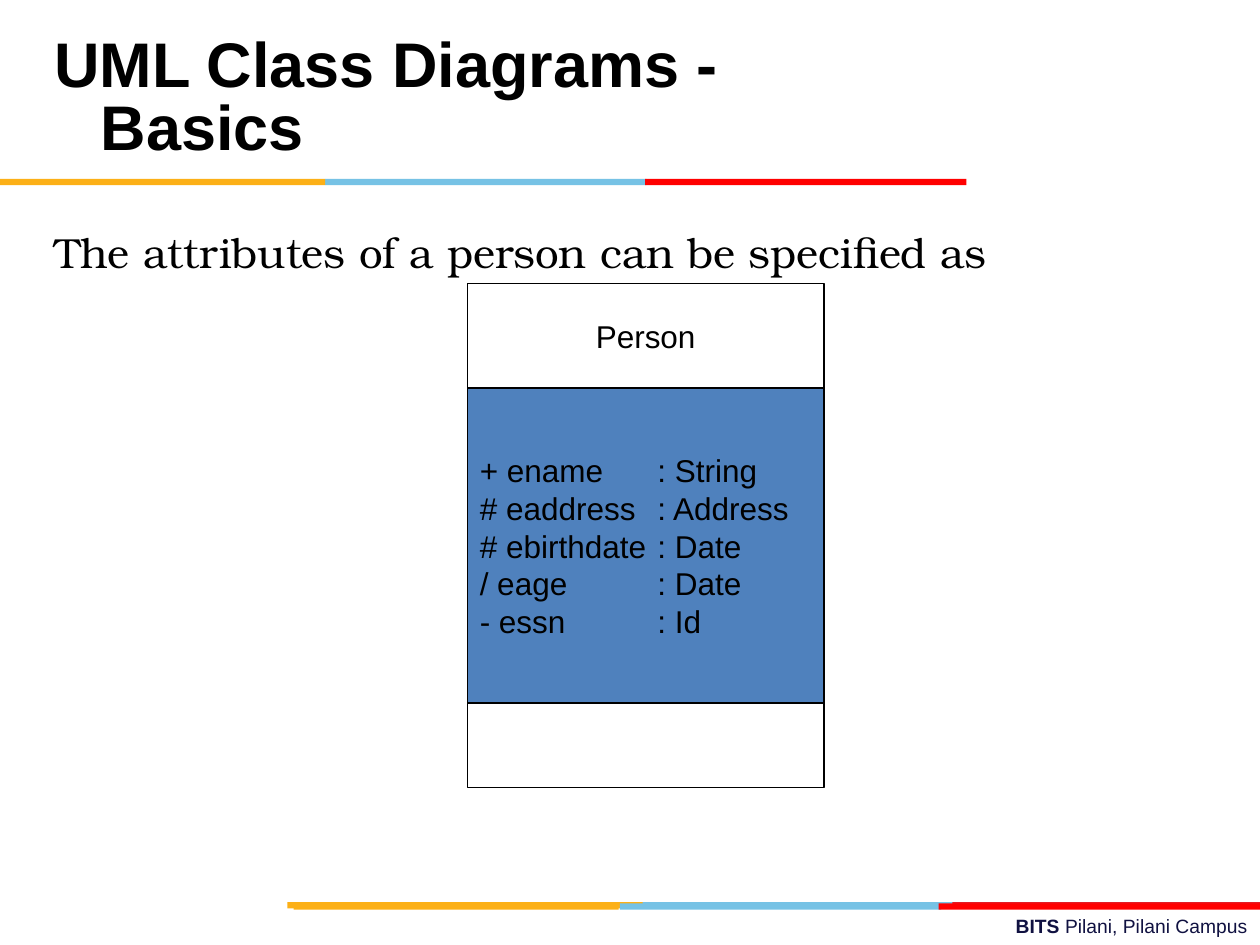
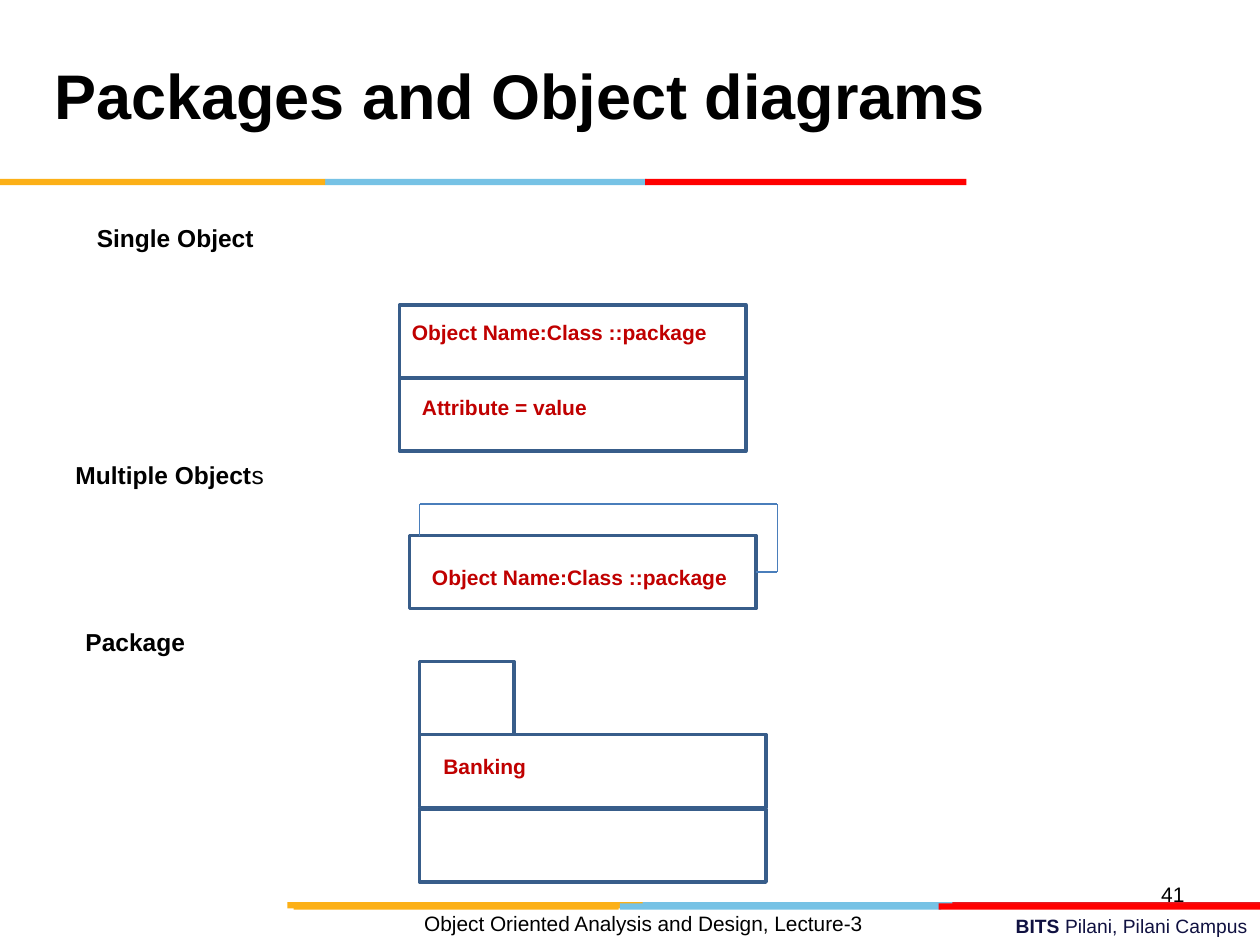
from typing import NamedTuple, Optional

from lxml import etree
from pptx import Presentation
from pptx.dml.color import RGBColor
from pptx.enum.shapes import MSO_CONNECTOR as Connector, MSO_SHAPE as Shape
from pptx.enum.text import MSO_ANCHOR as Anchor, MSO_AUTO_SIZE as AutoSize, PP_ALIGN as Align
from pptx.oxml.ns import qn
from pptx.util import Inches, Pt

BLACK = RGBColor(0x00, 0x00, 0x00)
WHITE = RGBColor(0xFF, 0xFF, 0xFF)
NAVY = RGBColor(0x10, 0x11, 0x41)
AMBER = RGBColor(0xFC, 0xB0, 0x17)
SKY = RGBColor(0x76, 0xC2, 0xE5)
RED = RGBColor(0xFF, 0x00, 0x00)
CRIMSON = RGBColor(0xE3, 0x1C, 0x24)
CLASS_BLUE = RGBColor(0x4F, 0x81, 0xBD)
OUTLINE_BLUE = RGBColor(0x38, 0x5D, 0x8A)
STACK_BLUE = RGBColor(0x4A, 0x7E, 0xBB)
DARK_RED = RGBColor(0xC0, 0x00, 0x00)
SANS = "Arial"
SERIF = "TeX Gyre Bonum"
BAND_HEIGHT = 0.05
COMPARTMENT_WIDTH, COMPARTMENT_HEIGHT = 2.75, 0.58
TYPE_COLUMN = 1.41


class Box(NamedTuple):
    left: float
    top: float
    width: float
    height: float

    def inches(self) -> list:
        return [Inches(side) for side in self]


class Band(NamedTuple):
    left: float
    top: float
    width: float
    color: RGBColor


class Style(NamedTuple):
    size: float
    color: RGBColor = BLACK
    bold: bool = False
    font: str = SANS


class Label(NamedTuple):
    box: Box
    text: str
    style: Style
    align: Align = Align.LEFT
    plain_tail: str = ""


class Edge(NamedTuple):
    start: tuple
    end: tuple
    weight: float = 1


BANDS = [
    Band(5.06, 7.16, 2.55, SKY),
    Band(7.56, 7.16, 2.44, CRIMSON),
    Band(2.28, 7.16, 2.82, AMBER),
    Band(4.92, 7.17, 2.55, SKY),
    Band(2.33, 7.17, 2.58, AMBER),
    Band(7.45, 7.17, 2.55, RED),
    Band(2.58, 1.42, 2.55, SKY),
    Band(0, 1.42, 2.58, AMBER),
    Band(5.12, 1.42, 2.55, RED),
]
TITLE = Style(36, bold=True)
CLASS_TEXT = Style(18)
HEADING = Style(14, bold=True)
OBJECT_TEXT = Style(12, DARK_RED, True)
CAMPUS = Label(Box(3.58, 7.21, 6.42, 0.29), "BITS ", Style(11, NAVY, True),
               Align.RIGHT, "Pilani, Pilani Campus")

ATTRIBUTES = [
    ("+ ename", "String"),
    ("# eaddress", "Address"),
    ("# ebirthdate", "Date"),
    ("/ eage", "Date"),
    ("- essn", "Id"),
]

OBJECT_LABELS = [
    Label(Box(1.98, 7.18, 6.25, 0.32), "Object Oriented Analysis and Design, Lecture-3",
          Style(11.9), Align.CENTER),
    Label(Box(7.17, 6.95, 2.33, 0.4), "41", Style(12), Align.RIGHT),
    Label(Box(3.17, 2.49, 2.58, 0.3), "Object Name:Class ::package", OBJECT_TEXT),
    Label(Box(3.25, 3.08, 2.58, 0.3), "Attribute = value", OBJECT_TEXT),
    Label(Box(3.33, 4.43, 2.58, 0.3), "Object Name:Class ::package", OBJECT_TEXT),
    Label(Box(3.42, 5.93, 2.58, 0.3), "Banking", OBJECT_TEXT),
    Label(Box(0.67, 1.72, 2.58, 0.34), "Single Object", HEADING),
    Label(Box(0.5, 3.6, 2.58, 0.34), "Multiple Object", HEADING, plain_tail="s"),
    Label(Box(0.58, 4.93, 2.58, 0.34), "Package", HEADING),
]
COMPARTMENTS = [(3.17, 2.42), (3.17, 3), (3.33, 5.83), (3.33, 6.42)]
STACK_EDGES = [
    Edge((3.33, 4), (6.17, 4)),
    Edge((6.17, 4), (6.17, 4.54), 0.75),
    Edge((3.33, 4), (3.33, 4.25)),
]


def format_run(run, style: Style) -> None:
    run.font.name = style.font
    run.font.size = Pt(style.size)
    run.font.bold = style.bold
    run.font.color.rgb = style.color


def format_text(frame, style: Style, align: Align = Align.LEFT) -> None:
    frame.word_wrap = True
    frame.auto_size = AutoSize.NONE
    for paragraph in frame.paragraphs:
        paragraph.alignment = align
        for run in paragraph.runs:
            format_run(run, style)


def hang(paragraph, indent: float) -> None:
    properties = paragraph._p.get_or_add_pPr()
    properties.set("marL", str(Inches(indent)))
    properties.set("indent", str(-Inches(indent)))
    etree.SubElement(properties, qn("a:buNone"))


def fill_placeholder(placeholder, box: Box, text: str, style: Style, indent: float) -> None:
    placeholder.left, placeholder.top, placeholder.width, placeholder.height = box.inches()
    frame = placeholder.text_frame
    frame.text = text
    hang(frame.paragraphs[0], indent)
    frame.paragraphs[0].space_before = Pt(0)
    format_text(frame, style)


def add_label(slide, label: Label) -> None:
    frame = slide.shapes.add_textbox(*label.box.inches()).text_frame
    frame.text = label.text
    if label.plain_tail:
        frame.paragraphs[0].add_run().text = label.plain_tail
    format_text(frame, label.style, label.align)
    if label.plain_tail:
        frame.paragraphs[0].runs[-1].font.bold = False


def add_rectangle(slide, box: Box, fill: Optional[RGBColor] = None,
                  line: Optional[RGBColor] = None, weight: float = 0.75):
    rectangle = slide.shapes.add_shape(Shape.RECTANGLE, *box.inches())
    rectangle.shadow.inherit = False
    if fill is None:
        rectangle.fill.background()
    else:
        rectangle.fill.solid()
        rectangle.fill.fore_color.rgb = fill
    if line is None:
        rectangle.line.fill.background()
    else:
        rectangle.line.color.rgb = line
        rectangle.line.width = Pt(weight)
    return rectangle


def add_edge(slide, edge: Edge):
    ends = [Inches(value) for value in edge.start + edge.end]
    connector = slide.shapes.add_connector(Connector.STRAIGHT, *ends)
    connector.line.color.rgb = STACK_BLUE
    connector.line.width = Pt(edge.weight)
    etree.SubElement(connector._element.spPr, qn("a:effectLst"))
    return connector


def add_slide(deck, layout: int, title: str, title_width: float):
    slide = deck.slides.add_slide(deck.slide_layouts[layout])
    heading = slide.shapes.title
    fill_placeholder(heading, Box(0.33, 0.17, title_width, 1.25), title, TITLE, 0.37)
    heading.text_frame.vertical_anchor = Anchor.MIDDLE
    heading.text_frame.paragraphs[0].line_spacing = Pt(36)
    add_label(slide, CAMPUS)
    for band in BANDS:
        add_rectangle(slide, Box(band.left, band.top, band.width, BAND_HEIGHT), band.color)
    return slide


def add_class_compartment(slide, top: float, height: float, fill: RGBColor,
                          text: str = "", align: Align = Align.LEFT):
    compartment = add_rectangle(slide, Box(3.71, top, 2.83, height), fill, BLACK)
    if text:
        frame = compartment.text_frame
        frame.text = text
        frame.vertical_anchor = Anchor.MIDDLE
        format_text(frame, CLASS_TEXT, align)
    return compartment


def align_types(frame) -> None:
    for paragraph in frame.paragraphs:
        stops = etree.SubElement(paragraph._p.get_or_add_pPr(), qn("a:tabLst"))
        etree.SubElement(stops, qn("a:tab"), pos=str(Inches(TYPE_COLUMN)), algn="l")


def build_class_slide(deck) -> None:
    slide = add_slide(deck, 1, "UML Class Diagrams - Basics", 6.92)
    fill_placeholder(slide.placeholders[1], Box(0.33, 1.75, 9, 4.95),
                     "The attributes of a person can be specified as",
                     Style(24, font=SERIF), 0.38)
    add_class_compartment(slide, 2.25, 0.83, WHITE, "Person", Align.CENTER)
    attribute_lines = "\n".join(f"{name}\t: {kind}" for name, kind in ATTRIBUTES)
    attributes = add_class_compartment(slide, 3.08, 2.5, CLASS_BLUE, attribute_lines)
    align_types(attributes.text_frame)
    add_class_compartment(slide, 5.58, 0.67, WHITE)


def add_object_compartment(slide, left: float, top: float, width: float = COMPARTMENT_WIDTH):
    return add_rectangle(slide, Box(left, top, width, COMPARTMENT_HEIGHT),
                         line=OUTLINE_BLUE, weight=2)


def build_object_slide(deck) -> None:
    slide = add_slide(deck, 5, "Packages and Object diagrams", 7.92)
    for left, top in COMPARTMENTS:
        add_object_compartment(slide, left, top)
    add_object_compartment(slide, 3.33, 5.25, 0.75)
    front_object = add_object_compartment(slide, 3.25, 4.25)
    for edge in STACK_EDGES:
        add_edge(slide, edge)
    add_edge(slide, Edge((6, 4.54), (6.17, 4.54))).begin_connect(front_object, 3)
    for label in OBJECT_LABELS:
        add_label(slide, label)


def main() -> None:
    deck = Presentation()
    deck.slide_width, deck.slide_height = Inches(10), Inches(7.5)
    build_class_slide(deck)
    build_object_slide(deck)
    deck.save("out.pptx")


if __name__ == "__main__":
    main()
